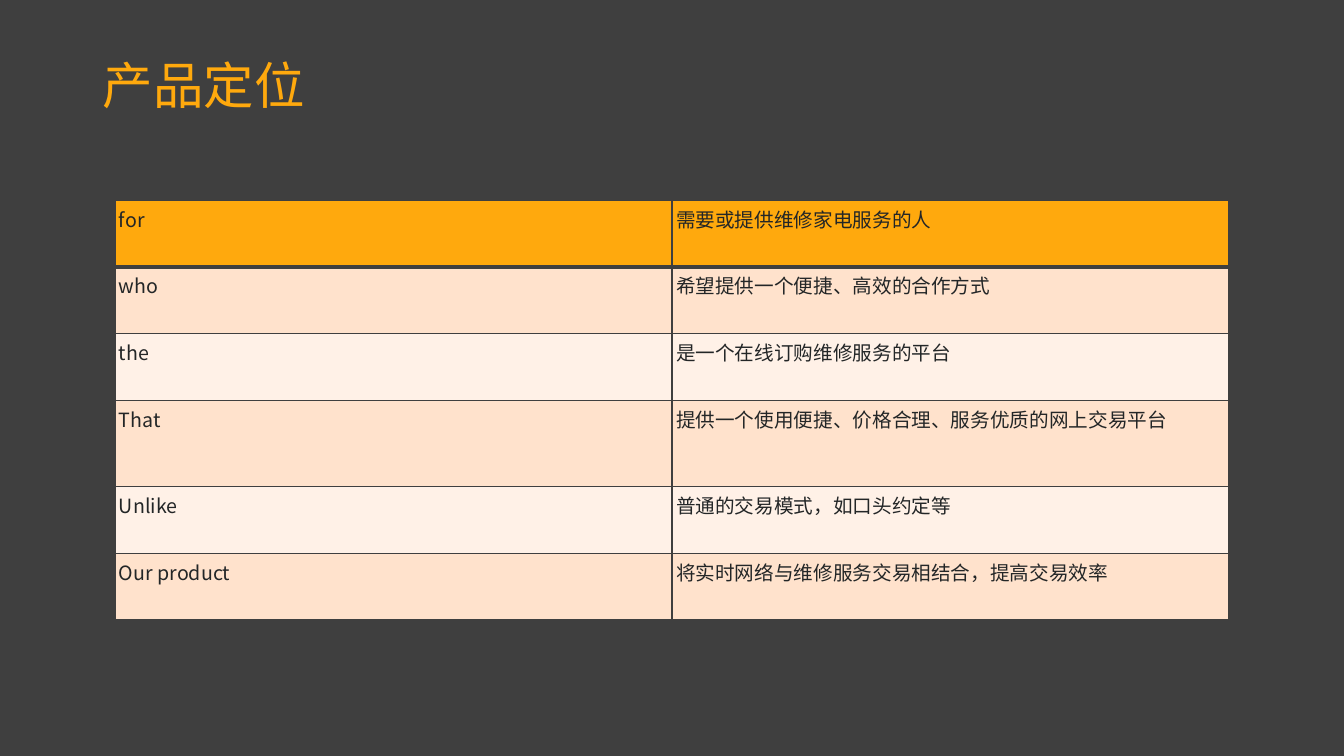
from lxml import etree
from pptx import Presentation
from pptx.dml.color import RGBColor
from pptx.enum.text import MSO_ANCHOR, PP_ALIGN
from pptx.oxml.ns import qn
from pptx.util import Inches, Pt

LEFT = PP_ALIGN.LEFT
MIDDLE = MSO_ANCHOR.MIDDLE
TITLE_ONLY = 5
COLORS = {
    "background": "3F3F3F",
    "accent": "FFA90D",
    "text": "232627",
    "band_dark": "FFE2CC",
    "band_light": "FFF1E7",
}
TITLE_FONT = "Arial"
TABLE_FONT = "Noto Sans CJK SC"
ROWS = [
    ("for", "需要或提供维修家电服务的人"),
    ("who", "希望提供一个便捷、高效的合作方式"),
    ("the", "是一个在线订购维修服务的平台"),
    ("That", "提供一个使用便捷、价格合理、服务优质的网上交易平台"),
    ("Unlike", "普通的交易模式，如口头约定等"),
    ("Our product", "将实时网络与维修服务交易相结合，提高交易效率"),
]
ROW_HEIGHT, TALL_ROW_HEIGHT = 0.66, 0.86


def format_run(r, font, size, color):
    """Set the font of a run for Latin and Chinese text alike."""
    r.font.name = font
    r.font.size = Pt(size)
    r.font.color.rgb = RGBColor.from_string(COLORS[color])
    etree.SubElement(r.font._element, qn("a:ea"), typeface=font)


def add_border(cell, side, width):
    """Draw one side (L, R, T or B) of a cell in the background colour."""
    ln = etree.SubElement(cell._tc.get_or_add_tcPr(), qn(f"a:ln{side}"), w=str(Pt(width)))
    fill = etree.SubElement(ln, qn("a:solidFill"))
    etree.SubElement(fill, qn("a:srgbClr"), val=COLORS["background"])


prs = Presentation()
prs.slide_width, prs.slide_height = Inches(13.33), Inches(7.5)
s = prs.slides.add_slide(prs.slide_layouts[TITLE_ONLY])
s.background.fill.solid()
s.background.fill.fore_color.rgb = RGBColor.from_string(COLORS["background"])

# Title
title = s.shapes.title
title.left, title.top = Inches(0.92), Inches(0.4)
title.width, title.height = Inches(11.5), Inches(0.94)
tf = title.text_frame
tf.text = "产品定位"
tf.vertical_anchor = MIDDLE
p = tf.paragraphs[0]
p.alignment = LEFT
p.line_spacing = 0.9
format_run(p.runs[0], TITLE_FONT, 36, "accent")

# Positioning table
table = s.shapes.add_table(len(ROWS), 2, Inches(1.14), Inches(1.99),
                           Inches(11.05), Inches(4.14)).table
for i, row in enumerate(ROWS):
    table.rows[i].height = Inches(TALL_ROW_HEIGHT if row[0] == "That" else ROW_HEIGHT)
    band = "accent" if i == 0 else "band_dark" if i % 2 else "band_light"
    # The rule under the header row is heavier than the others
    widths = {"L": 1, "R": 1, "T": 3 if i == 1 else 1, "B": 3 if i == 0 else 1}
    for j, text in enumerate(row):
        cell = table.cell(i, j)
        cell.margin_left = cell.margin_right = Inches(0.04)
        cell.margin_top = cell.margin_bottom = Inches(0.04)
        for side, width in widths.items():
            add_border(cell, side, width)
        cell.fill.solid()
        cell.fill.fore_color.rgb = RGBColor.from_string(COLORS[band])
        cell.text_frame.text = text
        r = cell.text_frame.paragraphs[0].runs[0]
        format_run(r, TABLE_FONT, 14, "text")
        r.font.bold = False

prs.save("out.pptx")
